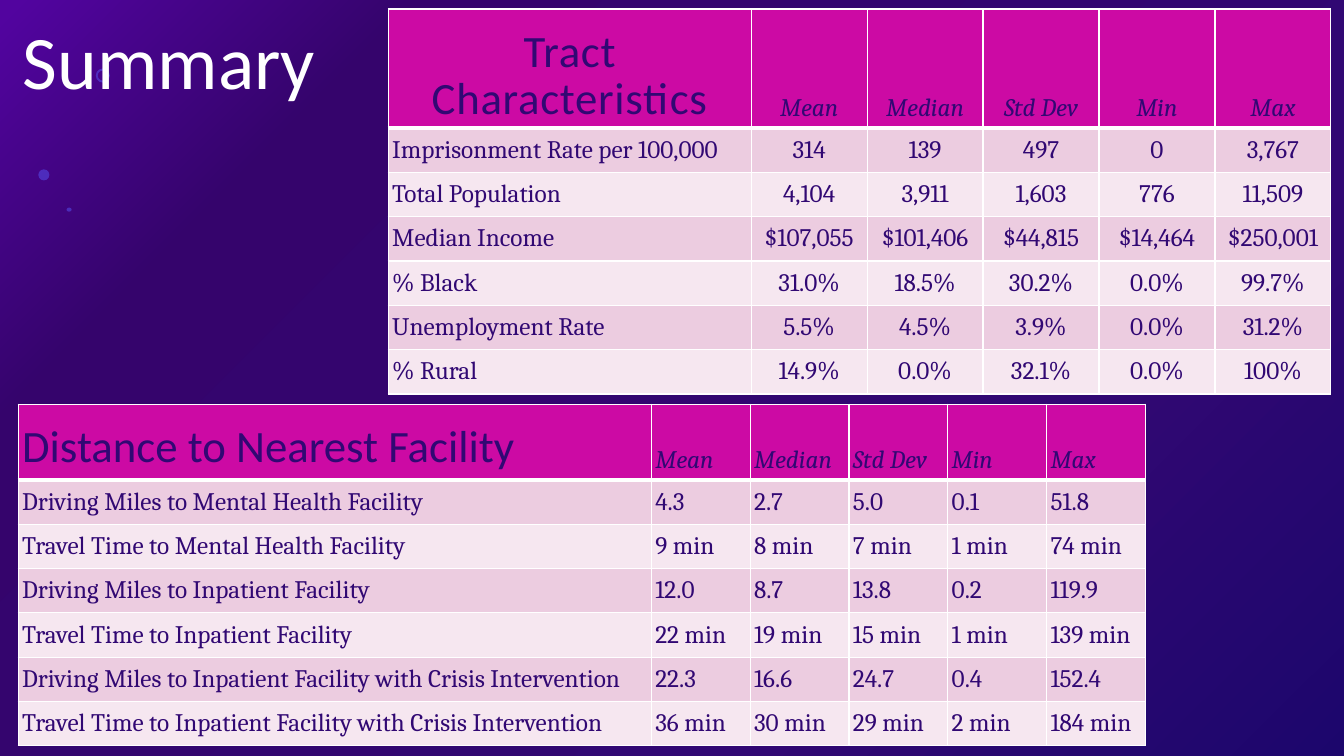
from lxml import etree
from pptx import Presentation
from pptx.dml.color import RGBColor
from pptx.enum.shapes import MSO_SHAPE as Preset
from pptx.enum.text import MSO_ANCHOR as Anchor, MSO_AUTO_SIZE as AutoSize, PP_ALIGN as Align
from pptx.oxml.ns import qn
from pptx.util import Inches, Pt

WHITE, INDIGO, MAGENTA, DOT_BLUE = "FFFFFF", "310873", "CC0AA4", "5956F7"
BAND_FILLS = ["ECCCE0", "F6E7F0"]
STATISTICS = ["Mean", "Median", "Std Dev", "Min", "Max"]
BODY_ROW_HEIGHT = 0.434

TRACT_ROWS = [
    ["Imprisonment Rate per 100,000", "314", "139", "497", "0", "3,767"],
    ["Total Population", "4,104", "3,911", "1,603", "776", "11,509"],
    ["Median Income", "$107,055", "$101,406", "$44,815", "$14,464", "$250,001"],
    ["% Black", "31.0%", "18.5%", "30.2%", "0.0%", "99.7%"],
    ["Unemployment Rate", "5.5%", "4.5%", "3.9%", "0.0%", "31.2%"],
    ["% Rural", "14.9%", "0.0%", "32.1%", "0.0%", "100%"],
]
DISTANCE_ROWS = [
    ["Driving Miles to Mental Health Facility", "4.3", "2.7", "5.0", "0.1", "51.8"],
    ["Travel Time to Mental Health Facility", "9 min", "8 min", "7 min", "1 min", "74 min"],
    ["Driving Miles to Inpatient Facility", "12.0", "8.7", "13.8", "0.2", "119.9"],
    ["Travel Time to Inpatient Facility", "22 min", "19 min", "15 min", "1 min", "139 min"],
    ["Driving Miles to Inpatient Facility with Crisis Intervention",
     "22.3", "16.6", "24.7", "0.4", "152.4"],
    ["Travel Time to Inpatient Facility with Crisis Intervention",
     "36 min", "30 min", "29 min", "2 min", "184 min"],
]


def rgb(color):
    return RGBColor.from_string(color)


def add_element(parent, tag, **attributes):
    return etree.SubElement(parent, qn(tag), attributes)


def add_solid_fill(parent, color):
    add_element(add_element(parent, "a:solidFill"), "a:srgbClr", val=color)


def set_background(slide):
    """Fill the background with a radial gradient centred on the bottom right corner."""
    slide.background.fill.gradient()
    gradient = slide.element.find(".//" + qn("a:gradFill"))
    for child in list(gradient):
        gradient.remove(child)
    stops = add_element(gradient, "a:gsLst")
    for percent, color in [(0, "070566"), (28, INDIGO), (80, "3A0066"), (99, "7400CC")]:
        stop = add_element(stops, "a:gs", pos=str(percent * 1000))
        add_element(stop, "a:srgbClr", val=color)
    path = add_element(gradient, "a:path", path="circle")
    add_element(path, "a:fillToRect", l="100000", t="100000")


def add_tinted_shape(slide, preset, left, top, width, height, color, opacity):
    shape = slide.shapes.add_shape(
        preset, Inches(left), Inches(top), Inches(width), Inches(height))
    shape.shadow.inherit = False
    shape.fill.solid()
    shape.fill.fore_color.rgb = rgb(color)
    shape.line.fill.background()
    color_element = shape.fill._xPr.find(".//" + qn("a:srgbClr"))
    add_element(color_element, "a:alpha", val=str(opacity * 1000))
    return shape


def format_runs(paragraph, font_name, size, color, italic=False):
    for run in paragraph.runs:
        run.font.name = font_name
        run.font.size = Pt(size)
        run.font.color.rgb = rgb(color)
        run.font.italic = italic


def add_title(slide, text):
    box = slide.shapes.add_textbox(Inches(0.13), Inches(0.09), Inches(3.33), Inches(1.01))
    frame = box.text_frame
    frame.text = text
    frame.word_wrap = False
    frame.auto_size = AutoSize.SHAPE_TO_FIT_TEXT
    format_runs(frame.paragraphs[0], "Calibri", 54, WHITE)


def set_borders(cell, bottom_width):
    properties = cell._tc.get_or_add_tcPr()
    for side, width in [("L", 1), ("R", 1), ("T", 1), ("B", bottom_width)]:
        line = add_element(properties, "a:ln" + side, w=str(Pt(width)))
        add_solid_fill(line, WHITE)


def style_cell(cell, fill, anchor, top_margin, bottom_margin, bottom_border=1):
    set_borders(cell, bottom_border)
    cell.fill.solid()
    cell.fill.fore_color.rgb = rgb(fill)
    cell.vertical_anchor = anchor
    cell.margin_left = cell.margin_right = Inches(0.04)
    cell.margin_top = Inches(top_margin)
    cell.margin_bottom = Inches(bottom_margin)


def fill_header_cell(cell, text, alignment, is_heading):
    cell.text_frame.text = text
    style_cell(cell, MAGENTA, Anchor.BOTTOM, 0.04, 0.05, bottom_border=3)
    for paragraph in cell.text_frame.paragraphs:
        paragraph.alignment = alignment
        if is_heading:
            format_runs(paragraph, "Calibri", 32, INDIGO)
        else:
            format_runs(paragraph, "Cambria", 18, INDIGO, italic=True)


def fill_body_cell(cell, text, alignment, fill):
    cell.text_frame.text = text
    style_cell(cell, fill, Anchor.MIDDLE, 0.07, 0.07)
    paragraph = cell.text_frame.paragraphs[0]
    paragraph.alignment = alignment
    format_runs(paragraph, "Cambria", 18, INDIGO)


def add_statistics_table(slide, heading, rows, left, top, label_width, value_width,
                         header_height, alignment):
    """Add a banded table and return its heading cell; alignment is for all but row labels."""
    column_widths = [label_width] + [value_width] * len(STATISTICS)
    row_heights = [header_height] + [BODY_ROW_HEIGHT] * len(rows)
    table = slide.shapes.add_table(
        len(row_heights), len(column_widths), Inches(left), Inches(top),
        Inches(sum(column_widths)), Inches(sum(row_heights))).table
    for column, width in zip(table.columns, column_widths):
        column.width = Inches(width)
    for row, height in zip(table.rows, row_heights):
        row.height = Inches(height)

    for column_index, text in enumerate([heading] + STATISTICS):
        fill_header_cell(table.cell(0, column_index), text, alignment, column_index == 0)
    for row_index, values in enumerate(rows, start=1):
        fill = BAND_FILLS[(row_index - 1) % 2]
        for column_index, text in enumerate(values):
            cell_alignment = alignment if column_index else Align.LEFT
            fill_body_cell(table.cell(row_index, column_index), text, cell_alignment, fill)
    return table.cell(0, 0)


def main():
    presentation = Presentation()
    presentation.slide_width = Inches(13.33)
    presentation.slide_height = Inches(7.5)
    slide = presentation.slides.add_slide(presentation.slide_layouts[6])

    set_background(slide)
    add_tinted_shape(slide, Preset.RECTANGLE, 0, 0, 13.33, 7.5, INDIGO, 50)
    ring = add_tinted_shape(slide, Preset.DONUT, 0.95, 0.68, 0.14, 0.14, DOT_BLUE, 49)
    ring.adjustments[0] = 0.14
    add_tinted_shape(slide, Preset.OVAL, 0.38, 1.68, 0.11, 0.11, DOT_BLUE, 49)
    add_tinted_shape(slide, Preset.OVAL, 0.66, 2.06, 0.05, 0.04, DOT_BLUE, 49)

    add_title(slide, "Summary")
    tract_heading = add_statistics_table(
        slide, "Tract\nCharacteristics", TRACT_ROWS, 3.85, 0.09, 3.6, 1.15, 1.18, Align.CENTER)
    tract_heading.text_frame.paragraphs[1].line_spacing = 0.8
    for paragraph in tract_heading.text_frame.paragraphs:
        for run in paragraph.runs:
            run.font._element.set("spc", "50")
    add_statistics_table(
        slide, "Distance to Nearest Facility", DISTANCE_ROWS, 0.18, 4.01, 6.28, 0.98, 0.75,
        Align.LEFT)

    presentation.save("out.pptx")


if __name__ == "__main__":
    main()
